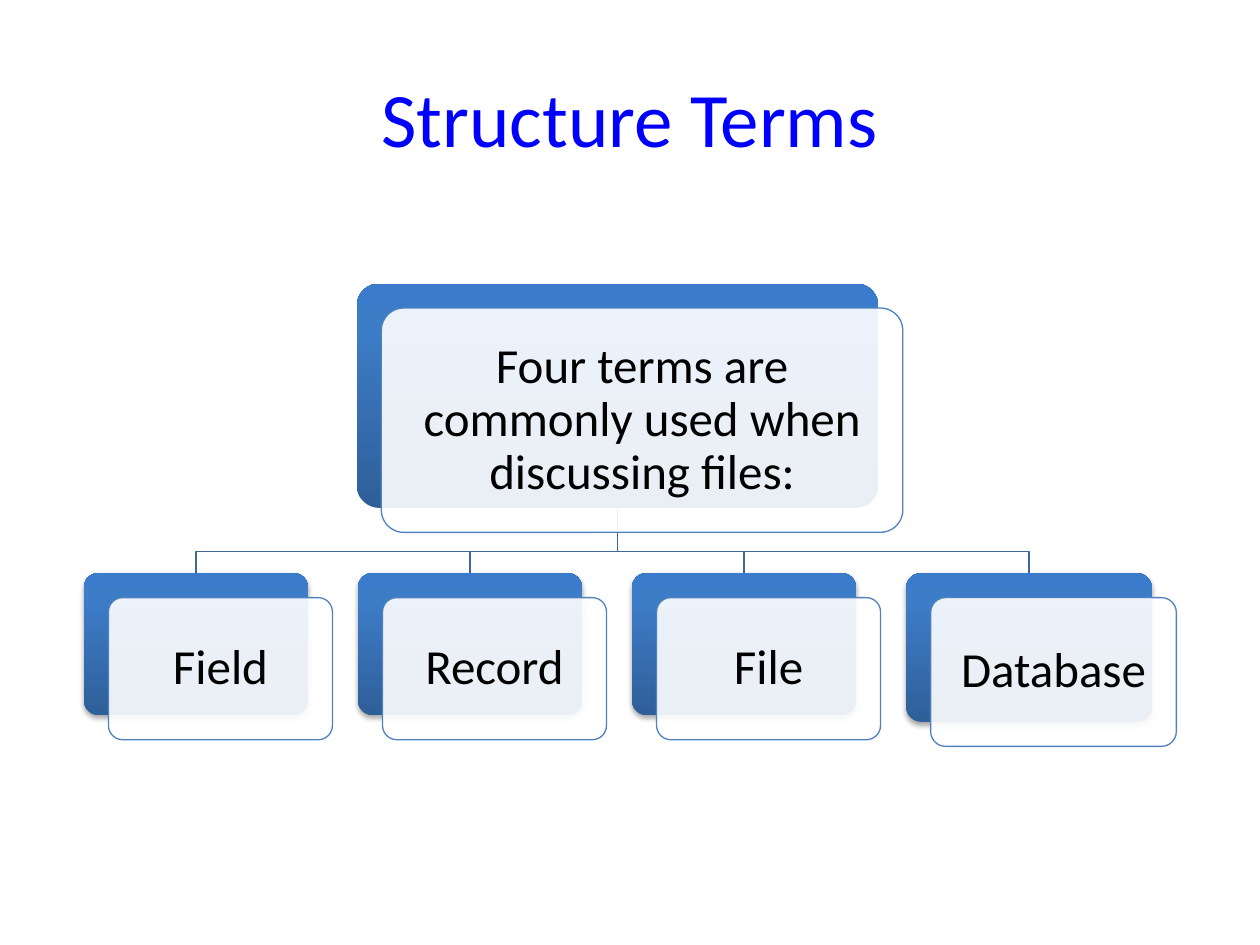
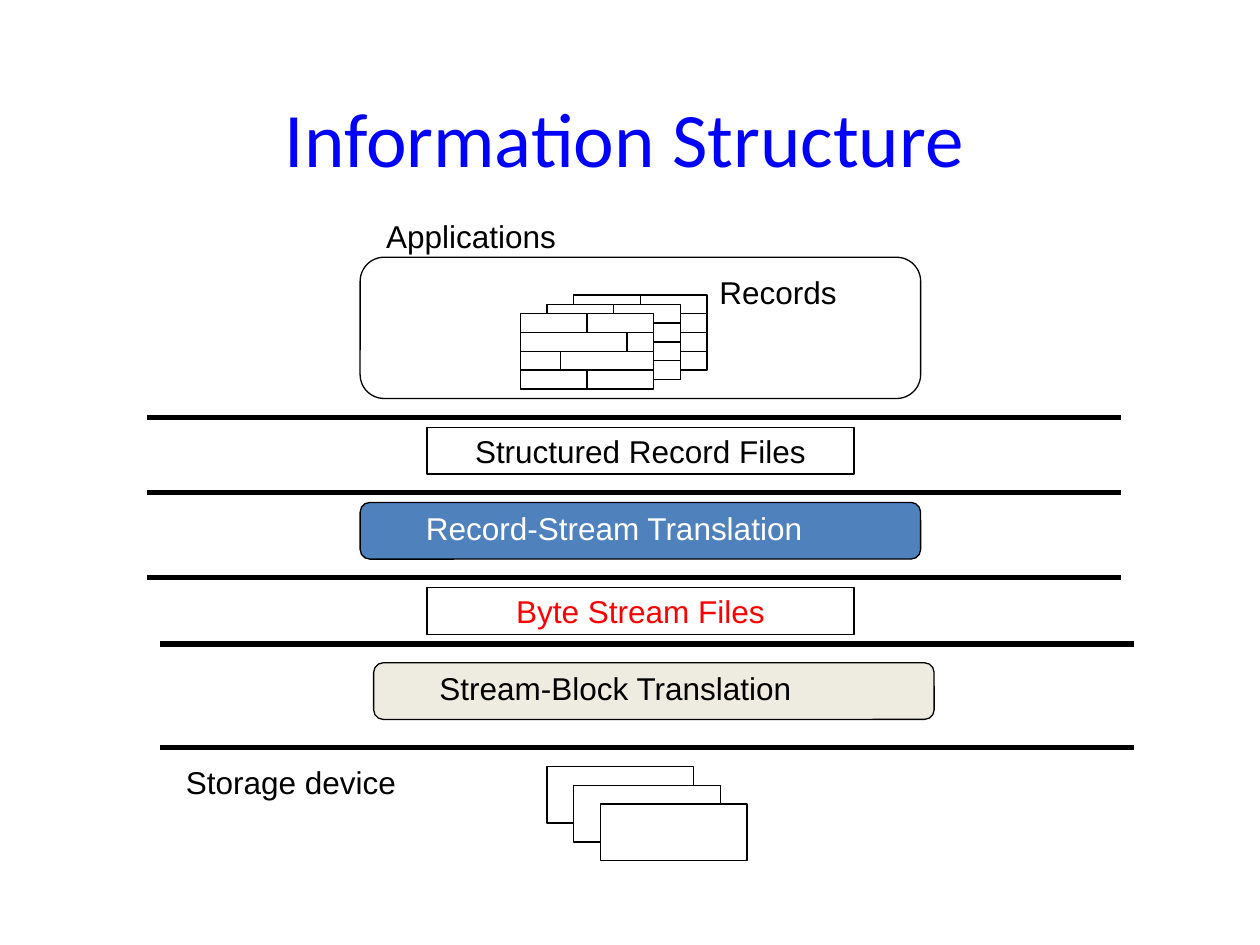
from copy import deepcopy
from dataclasses import dataclass

from lxml.etree import SubElement
from pptx import Presentation
from pptx.dml.color import RGBColor
from pptx.enum.shapes import MSO_CONNECTOR, MSO_SHAPE
from pptx.enum.text import MSO_ANCHOR, MSO_AUTO_SIZE, PP_ALIGN
from pptx.oxml.ns import qn
from pptx.shapes.autoshape import Shape
from pptx.slide import Slide
from pptx.text.text import TextFrame
from pptx.util import Pt

# Shared look
TITLE_FONT, LABEL_FONT = "Calibri", "Arial"
TITLE_BLUE, ACCENT, BRANCH = "0000FF", "4F81BD", "3F6797"
BLACK, WHITE, RED, CREAM = "000000", "FFFFFF", "FF0000", "EEECE1"
CARD_GRADIENT = ((0, "2F5F99"), (0.8, "3D7CC7"), (1, "3A7CCB"))
THIN = 0.75


@dataclass(frozen=True)
class Box:
    left: float
    top: float
    width: float
    height: float

    @property
    def center(self) -> float:
        return self.left + self.width / 2

    def shifted(self, dx: float, dy: float) -> "Box":
        return Box(self.left + dx, self.top + dy, self.width, self.height)

    def lengths(self) -> tuple[Pt, ...]:
        return Pt(self.left), Pt(self.top), Pt(self.width), Pt(self.height)


@dataclass(frozen=True)
class Card:
    text: str
    box: Box
    raised: bool = True


@dataclass(frozen=True)
class Label:
    text: str
    box: Box
    color: str = BLACK


@dataclass(frozen=True)
class Layer:
    box: Box
    fill: str = WHITE


@dataclass(frozen=True)
class Divider:
    left: float
    y: float


def rgb(color: str) -> RGBColor:
    return RGBColor.from_string(color)


def write(frame: TextFrame, text: str, size: float, font: str, color: str,
          align: PP_ALIGN = PP_ALIGN.CENTER) -> None:
    paragraph = frame.paragraphs[0]
    paragraph.alignment = align
    run = paragraph.add_run()
    run.text = text
    run.font.size = Pt(size)
    run.font.name = font
    run.font.color.rgb = rgb(color)


def add_title(slide: Slide, text: str, box: Box) -> None:
    frame = slide.shapes.add_textbox(*box.lengths()).text_frame
    frame.word_wrap = True
    frame.vertical_anchor = MSO_ANCHOR.MIDDLE
    write(frame, text, 44, TITLE_FONT, TITLE_BLUE)


def add_panel(slide: Slide, box: Box, fill: str = WHITE, line: str = BLACK,
              rounding: float = 0) -> Shape:
    kind = MSO_SHAPE.ROUNDED_RECTANGLE if rounding else MSO_SHAPE.RECTANGLE
    panel = slide.shapes.add_shape(kind, *box.lengths())
    panel.shadow.inherit = False
    if rounding:
        panel.adjustments[0] = rounding
    panel.fill.solid()
    panel.fill.fore_color.rgb = rgb(fill)
    panel.line.color.rgb = rgb(line)
    panel.line.width = Pt(THIN)
    return panel


# Structure Terms: hierarchy parts
CARD_SHIFT = 14
CARD_ROUNDING = 0.1


def paint_gradient(shape: Shape) -> None:
    shape.fill.gradient()
    shape.fill.gradient_angle = 90
    stop_list = shape._element.spPr.find(".//" + qn("a:gsLst"))
    stop_list.append(deepcopy(stop_list[-1]))
    for stop, (position, color) in zip(shape.fill.gradient_stops, CARD_GRADIENT):
        stop.position = position
        stop.color.rgb = rgb(color)


def add_drop_shadow(shape: Shape) -> None:
    effects = shape._element.spPr.find(qn("a:effectLst"))
    shadow = SubElement(effects, qn("a:outerShdw"), blurRad=str(Pt(3.1)),
                        dist=str(Pt(1.8)), dir="5400000", rotWithShape="0")
    color = SubElement(shadow, qn("a:srgbClr"), val=BLACK)
    SubElement(color, qn("a:alpha"), val="35000")


def add_card(slide: Slide, card: Card) -> None:
    back = add_panel(slide, card.box, rounding=CARD_ROUNDING)
    paint_gradient(back)
    back.line.fill.background()
    if card.raised:
        add_drop_shadow(back)

    front = add_panel(slide, card.box.shifted(CARD_SHIFT, CARD_SHIFT),
                      line=ACCENT, rounding=CARD_ROUNDING)
    front_color = front._element.spPr.find(qn("a:solidFill"))[0]
    SubElement(front_color, qn("a:alpha"), val="90000")
    frame = front.text_frame
    frame.word_wrap = True
    frame.vertical_anchor = MSO_ANCHOR.MIDDLE
    frame.margin_left = frame.margin_right = Pt(8.64)
    frame.margin_top = frame.margin_bottom = Pt(8.64)
    frame.paragraphs[0].line_spacing = 0.9
    write(frame, card.text, 28, TITLE_FONT, BLACK)


def add_branch(slide: Slide, parent: Box, child: Box) -> None:
    start = parent.top + parent.height
    bend = child.top - 12.25
    builder = slide.shapes.build_freeform(Pt(parent.center), Pt(start))
    corners = ((parent.center, bend), (child.center, bend), (child.center, child.top))
    builder.add_line_segments([(Pt(x), Pt(y)) for x, y in corners], close=False)
    branch = builder.convert_to_shape()
    branch.shadow.inherit = False
    branch.fill.background()
    branch.line.color.rgb = rgb(BRANCH)
    branch.line.width = Pt(THIN)


def build_structure_terms(slide: Slide) -> None:
    add_title(slide, "Structure Terms", Box(36, 21.6, 648, 90))
    root = Card("Four terms are commonly used when discussing files:",
                Box(203.9, 162, 298, 128.2), raised=False)
    sizes = {"Field": (128, 81.2), "Record": (128, 81.2),
             "File": (128, 81.2), "Database": (140.4, 85)}
    terms = [Card(term, Box(48 + 156.6 * i, 327.5, *size))
             for i, (term, size) in enumerate(sizes.items())]
    for term in reversed(terms):
        add_branch(slide, root.box, term.box)
    for card in (root, *terms):
        add_card(slide, card)


# Information Structure: layer parts
RECORD_UNIT = 15.25
RECORD_ROW = 10.75
RECORD_ROWS = ((2.5, 2.5), (4, 1), (1.5, 3.5), (2.5, 2.5))  # field widths in units
LAYER_ROUNDING = 0.17

LAYERS = (
    Layer(Box(205.8, 287.1, 320.3, 32.4), ACCENT),
    Layer(Box(213.5, 378.7, 320.3, 32.4), CREAM),
)
FILE_BOXES = (
    Label("Structured Record Files", Box(244, 244.1, 244, 26.8)),
    Label("Byte Stream Files", Box(244, 335.7, 244, 26.8), RED),
)
LABELS = (
    Label("Records", Box(404, 152.7, 93.6, 26)),
    Label("Applications", Box(213.6, 120.3, 135.4, 26)),
    Label("Record-Stream Translation", Box(236.3, 287.2, 231.8, 28.8), WHITE),
    Label("Stream-Block Translation", Box(244, 378.7, 255.6, 26)),
    Label("Storage device", Box(99.2, 432.6, 153.4, 26)),
)
DIVIDERS = (Divider(84, 238.4), Divider(84, 281.6), Divider(84, 330.2),
            Divider(91.6, 368), Divider(91.6, 427.1))
DIVIDER_LENGTH = 556.4


def add_record(slide: Slide, left: float, top: float) -> None:
    for row, fields in enumerate(RECORD_ROWS):
        field_left = left
        for units in fields:
            width = units * RECORD_UNIT
            add_panel(slide, Box(field_left, top + row * RECORD_ROW, width, RECORD_ROW))
            field_left += width


def add_label(slide: Slide, label: Label) -> None:
    frame = slide.shapes.add_textbox(*label.box.lengths()).text_frame
    frame.word_wrap = False
    frame.auto_size = MSO_AUTO_SIZE.SHAPE_TO_FIT_TEXT
    write(frame, label.text, 18, LABEL_FONT, label.color, PP_ALIGN.LEFT)


def add_file_box(slide: Slide, label: Label) -> None:
    frame = add_panel(slide, label.box).text_frame
    frame.word_wrap = False
    frame.vertical_anchor = MSO_ANCHOR.MIDDLE
    write(frame, label.text, 18, LABEL_FONT, label.color)


def add_divider(slide: Slide, divider: Divider) -> None:
    line = slide.shapes.add_connector(
        MSO_CONNECTOR.STRAIGHT, Pt(divider.left), Pt(divider.y),
        Pt(divider.left + DIVIDER_LENGTH), Pt(divider.y))
    line.line.color.rgb = rgb(BLACK)
    line.line.width = Pt(3)
    SubElement(line._element.spPr, qn("a:effectLst"))


def build_information_structure(slide: Slide) -> None:
    add_title(slide, "Information Structure", Box(54, 36, 606, 84))

    # Application layer with its stack of records
    add_panel(slide, Box(205.8, 147, 320.3, 80.7), rounding=LAYER_ROUNDING)
    for i in range(3):
        add_record(slide, 327.8 - i * RECORD_UNIT, 168.5 + i * RECORD_ROW / 2)

    # Translation layers and the files between them
    for layer in LAYERS:
        add_panel(slide, layer.box, layer.fill, rounding=LAYER_ROUNDING)
    for file_box in FILE_BOXES:
        add_file_box(slide, file_box)

    # Storage blocks
    for i in range(3):
        add_panel(slide, Box(312.6, 437.9, 83.8, 32.4).shifted(i * 15.25, i * 10.8))

    for divider in DIVIDERS:
        add_divider(slide, divider)
    for label in LABELS:
        add_label(slide, label)


def main() -> None:
    deck = Presentation()
    deck.slide_width, deck.slide_height = Pt(720), Pt(540)
    blank = deck.slide_layouts[6]
    for build in (build_structure_terms, build_information_structure):
        build(deck.slides.add_slide(blank))
    deck.save("out.pptx")


if __name__ == "__main__":
    main()
